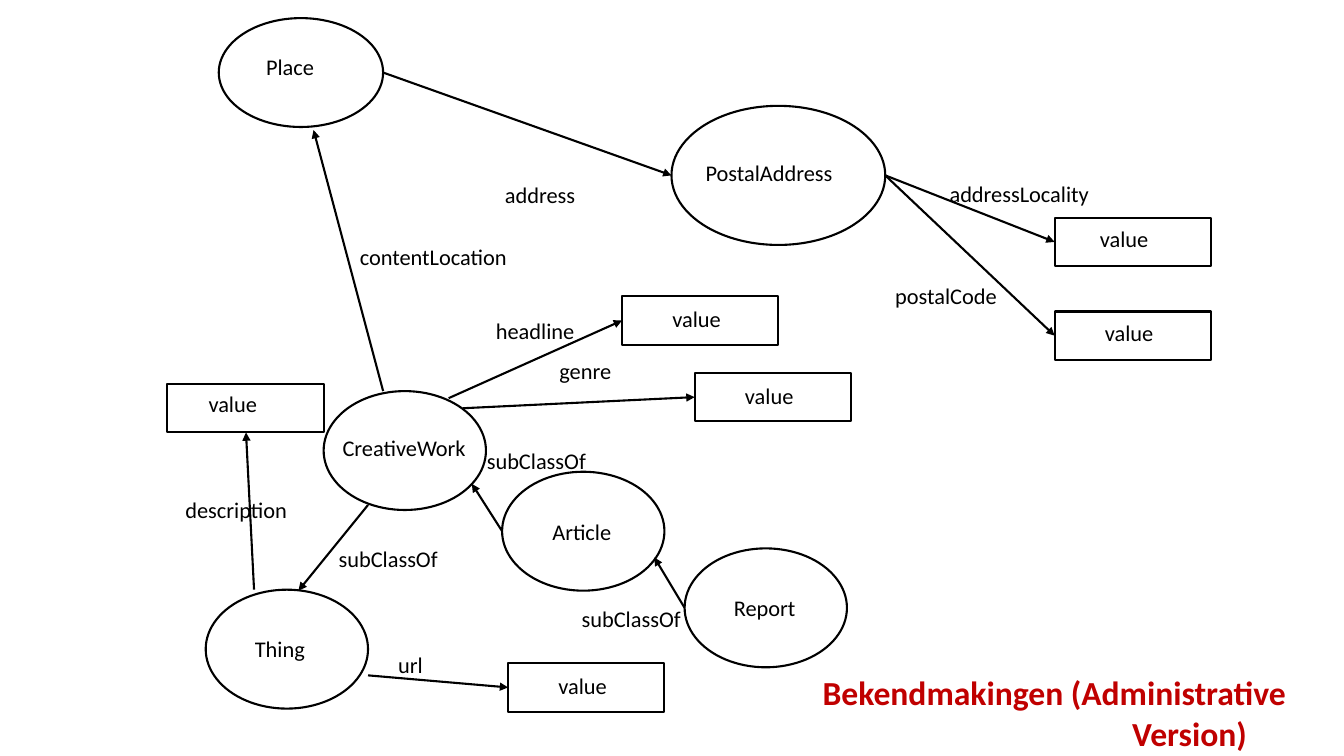
from dataclasses import dataclass

from lxml import etree
from pptx import Presentation
from pptx.dml.color import RGBColor
from pptx.enum.shapes import MSO_CONNECTOR, MSO_SHAPE
from pptx.enum.text import MSO_ANCHOR, MSO_AUTO_SIZE, PP_ALIGN
from pptx.oxml.ns import qn
from pptx.slide import Slide
from pptx.util import Inches, Pt

OVAL, RECTANGLE = MSO_SHAPE.OVAL, MSO_SHAPE.RECTANGLE
STRAIGHT = MSO_CONNECTOR.STRAIGHT
LEFT, TOP = PP_ALIGN.LEFT, MSO_ANCHOR.TOP
GROW = MSO_AUTO_SIZE.SHAPE_TO_FIT_TEXT


@dataclass(frozen=True)
class Theme:
    """Colours, font, type sizes and line width."""
    ink: RGBColor = RGBColor(0x00, 0x00, 0x00)
    accent: RGBColor = RGBColor(0xC0, 0x00, 0x00)
    font: str = "Calibri"
    label_size: int = 16
    title_size: int = 24
    line_width: float = 1.5


@dataclass(frozen=True)
class Label:
    """A text with its place and width."""
    text: str
    left: float
    top: float
    width: float


@dataclass(frozen=True)
class Concept:
    """An oval that stands for a class, with its name."""
    left: float
    top: float
    name: Label
    width: float = 1.61
    height: float = 1.18


@dataclass(frozen=True)
class ValueBox:
    """A box that stands for a literal, with the place of its text."""
    left: float
    top: float
    text_left: float
    text_top: float


@dataclass(frozen=True)
class Relation:
    """An arrow between two points, with its name."""
    start: tuple[float, float]
    end: tuple[float, float]
    name: Label


THEME = Theme()
LABEL_HEIGHT = 0.37
VALUE_SIZE = (1.55, 0.48)
VALUE_TEXT_WIDTH = 0.69

CONCEPTS = [
    Concept(2.17, 0.18, Label("Place", 2.54, 0.48, 0.68), 1.63, 1.08),
    Concept(6.66, 1.05, Label("PostalAddress", 6.9, 1.53, 1.48), 2.12, 1.38),
    Concept(3.21, 3.88, Label("CreativeWork", 3.3, 4.26, 1.44)),
    Concept(4.98, 4.68, Label("Article", 5.38, 5.09, 0.79)),
    Concept(6.79, 5.44, Label("Report", 7.18, 5.85, 0.82)),
    Concept(2.04, 5.85, Label("Thing", 2.43, 6.25, 0.7)),
]

VALUE_BOXES = [
    ValueBox(10.46, 2.16, 10.81, 2.18),
    ValueBox(10.46, 3.09, 10.86, 3.12),
    ValueBox(6.17, 2.94, 6.57, 2.98),
    ValueBox(6.89, 3.7, 7.29, 3.74),
    ValueBox(1.66, 3.81, 1.97, 3.82),
    ValueBox(5.04, 6.58, 5.44, 6.62),
]

RELATIONS = [
    Relation((3.8, 0.72), (6.66, 1.74), Label("address", 4.91, 1.75, 0.91)),
    Relation((8.78, 1.74), (10.46, 2.4), Label("addressLocality", 9.32, 1.74, 1.6)),
    Relation((8.78, 1.74), (10.46, 3.33), Label("postalCode", 8.78, 2.75, 1.22)),
    Relation((3.8, 3.88), (3.11, 1.29), Label("contentLocation", 3.47, 2.36, 1.68)),
    Relation((4.45, 3.95), (6.17, 3.18), Label("headline", 4.82, 3.1, 0.99)),
    Relation((4.59, 4.05), (6.89, 3.94), Label("genre", 5.45, 3.49, 0.72)),
    Relation((4.98, 5.27), (4.68, 4.8), Label("subClassOf", 4.73, 4.39, 1.19)),
    Relation((3.65, 5.01), (2.96, 5.86), Label("subClassOf", 3.26, 5.36, 1.19)),
    Relation((6.79, 6.03), (6.49, 5.53), Label("subClassOf", 5.67, 5.95, 1.19)),
    Relation((2.52, 5.85), (2.44, 4.29), Label("description", 1.74, 4.87, 1.22)),
    Relation((3.65, 6.7), (5.04, 6.82), Label("url", 3.85, 6.41, 0.45)),
]

TITLE = Label("Bekendmakingen (Administrative\nVersion)", 8.06, 6.62, 4.85)
TITLE_HEIGHT = 0.91
TITLE_INDENT = 3.07


def add_text(s: Slide, label: Label, *, height: float = LABEL_HEIGHT,
             size: int = THEME.label_size, color: RGBColor = THEME.ink,
             bold: bool = False, last_indent: float = 0) -> None:
    """Add a text box with one paragraph a line, the last one indented."""
    sp = s.shapes.add_textbox(Inches(label.left), Inches(label.top),
                              Inches(label.width), Inches(height))
    tf = sp.text_frame
    tf.word_wrap = False
    tf.auto_size = GROW
    tf.vertical_anchor = TOP
    tf.text = label.text
    for p in tf.paragraphs:
        p.alignment = LEFT
        font = p.runs[0].font
        font.name, font.size, font.bold = THEME.font, Pt(size), bold
        font.color.rgb = color
    if last_indent:
        p_pr = tf.paragraphs[-1]._p.get_or_add_pPr()
        p_pr.set("marL", str(Inches(last_indent)))


def add_outline(s: Slide, kind: MSO_SHAPE, left: float, top: float,
                width: float, height: float) -> None:
    """Add an unfilled shape with the theme's line."""
    sp = s.shapes.add_shape(kind, Inches(left), Inches(top), Inches(width), Inches(height))
    sp.shadow.inherit = False
    sp.fill.background()
    sp.line.color.rgb = THEME.ink
    sp.line.width = Pt(THEME.line_width)


def add_concept(s: Slide, concept: Concept) -> None:
    """Add a class oval and its name."""
    add_outline(s, OVAL, concept.left, concept.top, concept.width, concept.height)
    add_text(s, concept.name)


def add_value_box(s: Slide, box: ValueBox) -> None:
    """Add a literal box and its text."""
    add_outline(s, RECTANGLE, box.left, box.top, *VALUE_SIZE)
    add_text(s, Label("value", box.text_left, box.text_top, VALUE_TEXT_WIDTH))


def add_relation(s: Slide, relation: Relation) -> None:
    """Add an arrow and its name."""
    points = [Inches(v) for v in relation.start + relation.end]
    arrow = s.shapes.add_connector(STRAIGHT, *points)
    arrow.line.color.rgb = THEME.ink
    arrow.line.width = Pt(THEME.line_width)
    sp_pr = arrow._element.spPr
    etree.SubElement(sp_pr.find(qn("a:ln")), qn("a:tailEnd"), type="triangle")
    etree.SubElement(sp_pr, qn("a:effectLst"))
    add_text(s, relation.name)


def main() -> None:
    """Build the slide and save it."""
    prs = Presentation()
    prs.slide_width, prs.slide_height = Inches(13.33), Inches(7.5)
    s = prs.slides.add_slide(prs.slide_layouts[6])
    for concept in CONCEPTS:
        add_concept(s, concept)
    for box in VALUE_BOXES:
        add_value_box(s, box)
    for relation in RELATIONS:
        add_relation(s, relation)
    add_text(s, TITLE, height=TITLE_HEIGHT, size=THEME.title_size,
             color=THEME.accent, bold=True, last_indent=TITLE_INDENT)
    prs.save("out.pptx")


if __name__ == "__main__":
    main()
